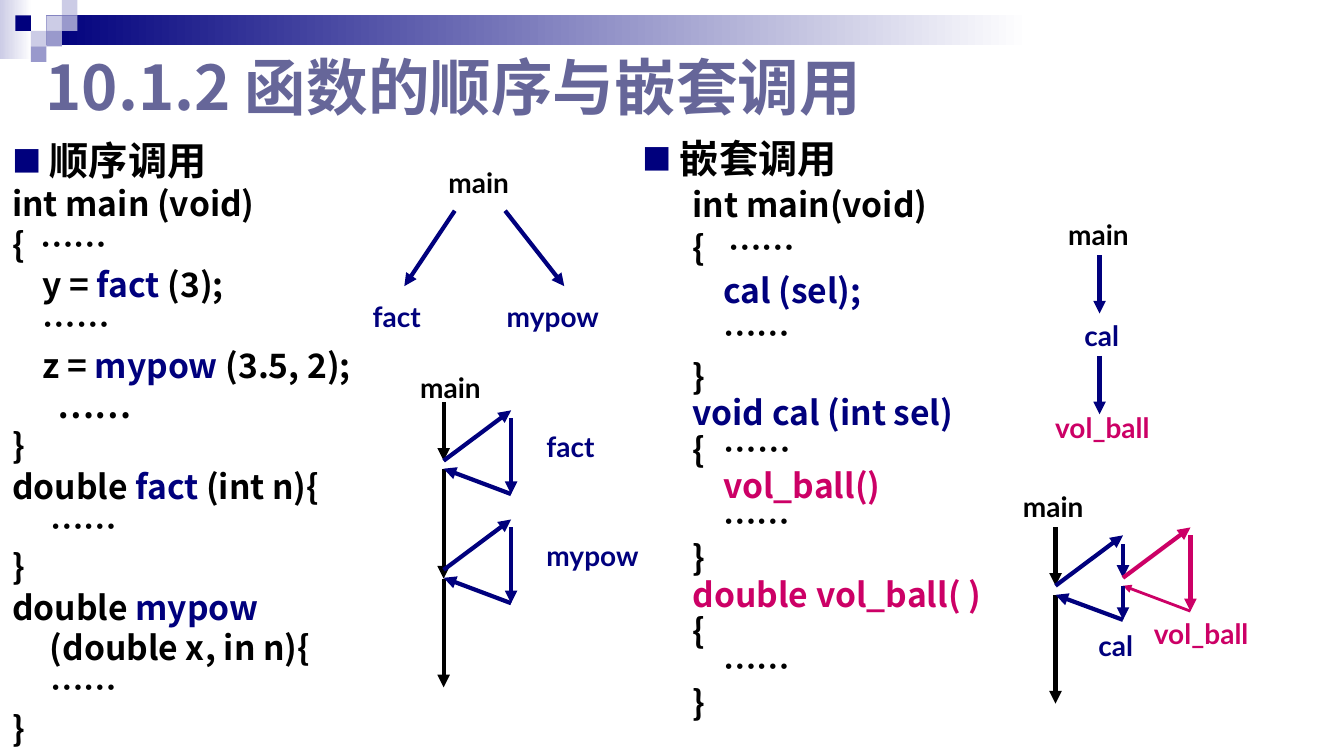
import pptx
import pptx.dml.color
import pptx.enum.shapes
import pptx.enum.text
import pptx.oxml
import pptx.oxml.ns
import pptx.util

Cm = pptx.util.Cm
Pt = pptx.util.Pt
NAVY, BLACK, PINK = "00007D", "000000", "CC0066"
PALE, LILAC, WHITE, SLATE = "CCCCE6", "9999CC", "FFFFFF", "666699"
CJK, LATIN = "Noto Sans CJK SC", "Lato"


def rgb(colour):
    return pptx.dml.color.RGBColor.from_string(colour)


def add_xml(parent, tag, **attributes):
    element = pptx.oxml.ns.qn(tag)
    child = parent.makeelement(element, attributes)
    parent.append(child)
    return child


def add_run(paragraph, words, colour, size, face):
    run = paragraph.add_run()
    run.text = words
    run.font.size = Pt(size)
    run.font.bold = True
    run.font.name = face
    run.font.color.rgb = rgb(colour)
    add_xml(run._r.get_or_add_rPr(), "a:ea", typeface=CJK)


def add_block(slide, left, top, width, height, colour, fade=None):
    block = slide.shapes.add_shape(pptx.enum.shapes.MSO_SHAPE.RECTANGLE,
                                   Cm(left), Cm(top), Cm(width), Cm(height))
    block.shadow.inherit = False
    block.line.fill.background()
    if fade:
        block.fill.gradient()
        block.fill.gradient_angle = 0
        for stop, shade in zip(block.fill.gradient_stops, (colour, fade)):
            stop.color.rgb = rgb(shade)
    else:
        block.fill.solid()
        block.fill.fore_color.rgb = rgb(colour)


def add_label(slide, left, top, words, colour, width=3.6):
    label = slide.shapes.add_textbox(Cm(left), Cm(top), Cm(width), Cm(1.1))
    label.text_frame.word_wrap = True
    add_run(label.text_frame.paragraphs[0], words, colour, 20, LATIN)


def add_arrow(slide, x1, y1, x2, y2, colour, weight=3):
    arrow = slide.shapes.add_connector(pptx.enum.shapes.MSO_CONNECTOR.STRAIGHT,
                                       Cm(x1), Cm(y1), Cm(x2), Cm(y2))
    arrow.line.color.rgb = rgb(colour)
    arrow.line.width = Pt(weight)
    add_xml(arrow.line._get_or_add_ln(), "a:tailEnd", type="triangle")
    add_xml(arrow._element.spPr, "a:effectLst")


# Header band with its corner mosaic
def draw_banner(slide, left, top):
    add_block(slide, left, top, 0.81, 1.48, PALE, WHITE)
    add_block(slide, left + 1.17, top + 0.38, 24.77, 0.76, NAVY, WHITE)
    cell = 0.39
    mosaic = [(3, 1, PALE), (4, 0, PALE), (4, 1, LILAC), (2, 2, PALE),
              (1, 1, NAVY), (3, 2, LILAC), (2, 3, LILAC)]
    for column, row, colour in mosaic:
        add_block(slide, left + column * cell, top + row * cell, cell, cell, colour)


def place(part, left, top, width, height):
    part.left, part.top, part.width, part.height = Cm(left), Cm(top), Cm(width), Cm(height)
    part.text_frame.auto_size = pptx.enum.text.MSO_AUTO_SIZE.NONE
    part.text_frame.word_wrap = True


def fill_title(heading, left, top, width, height):
    place(heading, left, top, width, height)
    heading.text_frame.vertical_anchor = pptx.enum.text.MSO_ANCHOR.MIDDLE
    paragraph = heading.text_frame.paragraphs[0]
    paragraph.alignment = pptx.enum.text.PP_ALIGN.LEFT
    add_run(paragraph, "10.1.2 函数的顺序与嵌套调用", SLATE, 44, CJK)


def set_indent(paragraph, margin, hanging, bullet=False):
    properties = paragraph._p.get_or_add_pPr()
    properties.set("marL", str(Cm(margin)))
    properties.set("indent", str(-Cm(hanging)))
    if bullet:
        add_xml(add_xml(properties, "a:buClr"), "a:srgbClr", val=NAVY)
        add_xml(properties, "a:buSzPct", val="75000")
        add_xml(properties, "a:buFont", typeface=CJK)
        add_xml(properties, "a:buChar", char="■")
    else:
        add_xml(properties, "a:buNone")


# Bulleted heading followed by a code listing; each line is (space before, runs)
def fill_code(body, box, heading, heading_pitch, pitch, level, margin, hanging, lines):
    place(body, *box)
    topic = body.text_frame.paragraphs[0]
    set_indent(topic, 0.95, 0.95, bullet=True)
    topic.space_before = Pt(0)
    topic.line_spacing = Pt(heading_pitch)
    add_run(topic, heading, BLACK, 28, CJK)
    for before, runs in lines:
        line = body.text_frame.add_paragraph()
        line.level = level
        set_indent(line, margin, hanging)
        line.space_before = Pt(before)
        line.line_spacing = Pt(pitch)
        for words, colour in runs:
            if words == "\n":
                line.add_line_break()
            else:
                add_run(line, words, colour, 24, CJK)


def fill_sequential_code(body, box):
    lines = [
        [("int main (void)", BLACK)],
        [("{  ……", BLACK)],
        [("    y =", BLACK), (" fact ", NAVY), ("(3);", BLACK)],
        [("    ……", BLACK)],
        [("    z = ", BLACK), ("mypow ", NAVY), ("(3.5, 2);", BLACK),
         ("\n", BLACK), (" ……", BLACK)],
        [("}", BLACK)],
        [("double ", BLACK), ("fact ", NAVY), ("(int n){", BLACK)],
        [("     ……", BLACK)],
        [("}", BLACK)],
        [("double ", BLACK), ("mypow ", NAVY), ("(double x, in n){", BLACK)],
        [("     ……", BLACK)],
        [("}", BLACK)],
    ]
    fill_code(body, box, "顺序调用", 25, 28.8, 0, 0.95, 0.95, [(0, runs) for runs in lines])


def fill_nested_code(body, box):
    main_lines = [("int main(void)", BLACK), ("{   ……", BLACK), ("    cal (sel);", NAVY),
                  ("    ……", BLACK), ("}", BLACK)]
    called_lines = [("void cal (int sel)", NAVY), ("{\t……", BLACK), ("    vol_ball()", PINK),
                    ("    ……", BLACK), ("}", BLACK), ("double vol_ball( )", PINK),
                    ("{", BLACK), ("    ……", BLACK), ("}", BLACK)]
    lines = [(4.8, [run]) for run in main_lines] + [(0, [run]) for run in called_lines]
    fill_code(body, box, "嵌套调用", 31.5, 25.9, 1, 2.06, 0.79, lines)


# main calling fact and mypow
def draw_sequential_tree(slide, left, top):
    add_label(slide, left + 1.91, top, "main", BLACK)
    add_label(slide, left, top + 3.38, "fact", NAVY)
    add_label(slide, left + 3.38, top + 3.38, "mypow", NAVY)
    add_arrow(slide, left + 2.32, top + 1.27, left + 1.05, top + 3.17, NAVY)
    add_arrow(slide, left + 3.59, top + 1.27, left + 5.08, top + 3.17, NAVY)


# Call out, run and return, starting from the calling point
def draw_detour(slide, x, y, colour, return_weight=3):
    add_arrow(slide, x, y, x + 1.7, y - 1.27, colour)
    add_arrow(slide, x + 1.7, y - 1.07, x + 1.7, y + 0.84, colour)
    add_arrow(slide, x + 1.7, y + 0.84, x, y + 0.2, colour, return_weight)


def draw_sequential_timeline(slide, left, top):
    axis, step = left + 0.84, 2.75
    add_label(slide, left, top, "main", BLACK)
    for start, end in [(0.91, 2.39), (2.59, 5.36), (5.36, 8.1)]:
        add_arrow(slide, axis, top + start, axis, top + end, BLACK)
    for index, name in enumerate(["fact", "mypow"]):
        draw_detour(slide, axis, top + 2.39 + index * step, NAVY)
        add_label(slide, left + 3.18, top + 1.47 + index * step, name, NAVY)


# main, cal and vol_ball in a chain
def draw_nested_chain(slide, left, top):
    add_label(slide, left + 0.33, top, "main", BLACK)
    add_label(slide, left + 0.74, top + 2.54, "cal", NAVY)
    add_label(slide, left, top + 4.85, "vol_ball", PINK)
    for start in (1.07, 3.61):
        add_arrow(slide, left + 1.37, top + start, left + 1.37, top + start + 1.47, NAVY)


def draw_nested_timeline(slide, left, top):
    axis, cal = left + 1.07, left + 2.77
    add_label(slide, left, top, "main", BLACK)
    add_label(slide, left + 1.9, top + 3.5, "cal", NAVY)
    add_label(slide, left + 3.3, top + 3.18, "vol_ball", PINK)
    for start, end in [(1.07, 2.54), (2.77, 5.51)]:
        add_arrow(slide, axis, top + start, axis, top + end, BLACK)
    add_arrow(slide, axis, top + 2.54, cal, top + 1.27, NAVY)
    add_arrow(slide, cal, top + 1.5, cal, top + 2.34, NAVY)
    draw_detour(slide, cal, top + 2.34, PINK, return_weight=2)
    add_arrow(slide, cal, top + 2.54, cal, top + 3.4, NAVY)
    add_arrow(slide, cal, top + 3.4, axis, top + 2.77, NAVY)


def main():
    deck = pptx.Presentation()
    deck.slide_width, deck.slide_height = Cm(33.87), Cm(19.05)
    slide = deck.slides.add_slide(deck.slide_layouts[3])
    heading, sequential, nested = slide.placeholders
    draw_banner(slide, 0, 0)
    fill_title(heading, 0.89, 1.12, 24.03, 2.11)
    fill_sequential_code(sequential, (0.05, 3.61, 10.11, 15.01))
    fill_nested_code(nested, (15.93, 3.33, 10.26, 15.29))
    draw_sequential_tree(slide, 9.14, 4.04)
    draw_sequential_timeline(slide, 10.34, 9.22)
    draw_nested_chain(slide, 26.34, 5.36)
    draw_nested_timeline(slide, 25.53, 12.22)
    deck.save("out.pptx")


if __name__ == "__main__":
    main()
